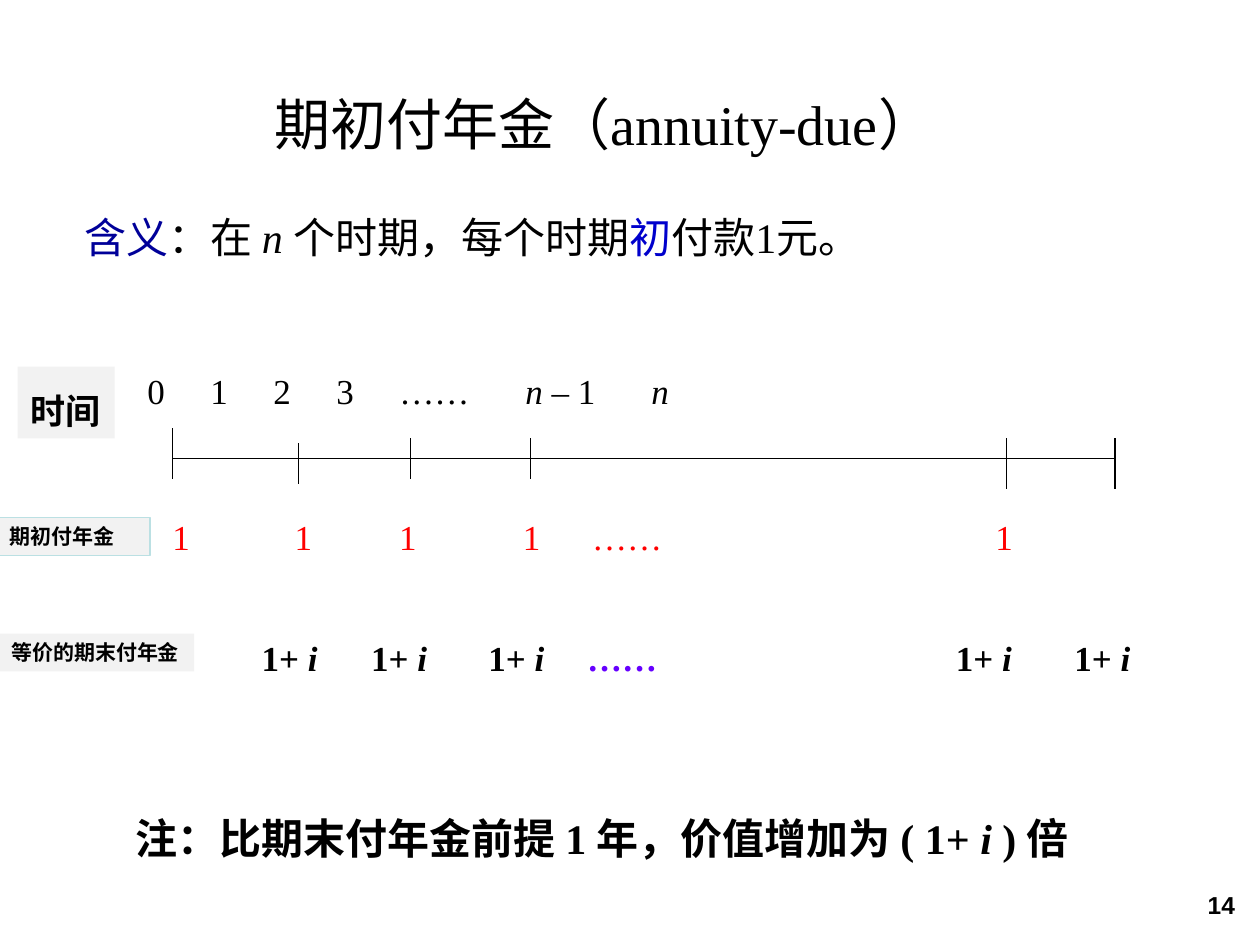
from dataclasses import dataclass

from lxml import etree
from pptx import Presentation
from pptx import util as u
from pptx.dml.color import RGBColor
from pptx.enum import shapes, text
from pptx.oxml import ns

BLACK = RGBColor(0x00, 0x00, 0x00)
RED = RGBColor(0xFF, 0x00, 0x00)
NAVY = RGBColor(0x00, 0x00, 0x99)
BLUE = RGBColor(0x00, 0x00, 0xCC)
VIOLET = RGBColor(0x66, 0x00, 0xFF)
GREY = RGBColor(0xF2, 0xF2, 0xF2)
TEAL = RGBColor(0xBB, 0xE0, 0xE3)
SERIF, SANS, HAN = "Times New Roman", "Arial", "Noto Sans CJK SC"
INSET = 0.1


@dataclass
class Span:
    words: str
    color: RGBColor = BLACK
    italic: bool = False


@dataclass
class Entry:
    center: float
    spans: list[Span]


@dataclass
class Tick:
    x: float
    top: float
    bottom: float


@dataclass
class Label:
    words: str
    left: float
    top: float
    width: float
    height: float
    size: int
    spacing: float
    border: RGBColor | None = None


def add_spans(para, spans: list[Span], size: int, bold: bool = False, font: str = SERIF) -> None:
    for span in spans:
        run = para.add_run()
        run.text = span.words
        run.font.size = u.Pt(size)
        run.font.name = font
        run.font.bold = bold
        run.font.italic = span.italic
        run.font.color.rgb = span.color
        east = etree.SubElement(run.font._element, ns.qn("a:ea"))
        east.set("typeface", HAN)


def add_entries(para, entries: list[Entry], left: float, size: int, bold: bool = False) -> None:
    """Centre each entry of a row on its own tab stop."""
    stops = etree.SubElement(para._p.get_or_add_pPr(), ns.qn("a:tabLst"))
    for entry in entries:
        stop = etree.SubElement(stops, ns.qn("a:tab"))
        stop.set("pos", str(int(u.Inches(entry.center - left - INSET))))
        stop.set("algn", "ctr")
        first, *rest = entry.spans
        add_spans(para, [Span("\t" + first.words, first.color, first.italic), *rest], size, bold)


def add_box(page, left: float, top: float, width: float, height: float):
    box = page.shapes.add_textbox(u.Inches(left), u.Inches(top), u.Inches(width), u.Inches(height))
    box.text_frame.word_wrap = True
    return box.text_frame


def loosen(para, size: int) -> None:
    para.line_spacing = 1.4
    para.space_before = u.Pt(0.2 * size)


def add_line(page, x1: float, y1: float, x2: float, y2: float) -> None:
    line = page.shapes.add_connector(
        shapes.MSO_CONNECTOR.STRAIGHT, u.Inches(x1), u.Inches(y1), u.Inches(x2), u.Inches(y2))
    line.line.color.rgb = BLACK
    line.line.width = u.Pt(0.75)
    etree.SubElement(line._element.spPr, ns.qn("a:effectLst"))


def add_label(page, label: Label) -> None:
    box = page.shapes.add_shape(
        shapes.MSO_SHAPE.RECTANGLE, u.Inches(label.left), u.Inches(label.top),
        u.Inches(label.width), u.Inches(label.height))
    box.shadow.inherit = False
    box.fill.solid()
    box.fill.fore_color.rgb = GREY
    if label.border is None:
        box.line.fill.background()
    else:
        box.line.color.rgb = label.border
        box.line.width = u.Pt(0.75)
    frame = box.text_frame
    frame.word_wrap = label.border is not None
    frame.vertical_anchor = text.MSO_ANCHOR.TOP
    para = frame.paragraphs[0]
    para.alignment = text.PP_ALIGN.LEFT
    if label.spacing > 1:
        loosen(para, label.size)
    add_spans(para, [Span(label.words)], label.size, True, HAN)


def place(holder, left: float, top: float, width: float, height: float):
    holder.left, holder.top = u.Inches(left), u.Inches(top)
    holder.width, holder.height = u.Inches(width), u.Inches(height)
    holder.text_frame.auto_size = text.MSO_AUTO_SIZE.NONE
    return holder.text_frame


def plain(para) -> None:
    """Drop the bullet and its indent."""
    props = para._p.get_or_add_pPr()
    props.set("marL", "0")
    props.set("indent", "0")
    para.line_spacing = 0.9
    etree.SubElement(props, ns.qn("a:buNone"))


TIMES = [
    Entry(1.43, [Span("0")]), Entry(2.4, [Span("1")]), Entry(3.3, [Span("2")]),
    Entry(4.27, [Span("3")]), Entry(5.11, [Span("……")]),
    Entry(8.03, [Span("n ", italic=True), Span("‒ 1")]), Entry(8.87, [Span("n", italic=True)]),
]
PAYMENTS = [Entry(x, [Span(words, RED)]) for x, words in (
    (1.44, "1"), (2.41, "1"), (3.24, "1"), (4.22, "1"), (4.98, "……"), (7.97, "1"))]
GROWTH = [Span("1+ "), Span("i", italic=True)]
EQUIVALENTS = [Entry(x, GROWTH) for x in (2.3, 3.17, 4.1)]
EQUIVALENTS += [Entry(4.94, [Span("……", VIOLET)])]
EQUIVALENTS += [Entry(x, GROWTH) for x in (7.81, 8.75)]
TICKS = [
    Tick(1.37, 3.4, 3.8), Tick(2.37, 3.52, 3.84), Tick(3.26, 3.48, 3.8),
    Tick(4.21, 3.48, 3.8), Tick(7.99, 3.48, 3.88), Tick(8.85, 3.48, 3.88),
]
LABELS = [
    Label("时间", 0.14, 2.91, 0.77, 0.57, 20, 1.4),
    Label("期初付年金", -0.02, 4.11, 1.21, 0.3, 12, 1, TEAL),
    Label("等价的期末付年金", -0.01, 5.03, 1.55, 0.3, 12, 1),
]


def main() -> None:
    deck = Presentation()
    deck.slide_width, deck.slide_height = u.Inches(10), u.Inches(7.5)
    page = deck.slides.add_slide(deck.slide_layouts[1])

    # Title
    title = place(page.shapes.title, 0.72, 0.62, 8.25, 0.71)
    title.vertical_anchor = text.MSO_ANCHOR.MIDDLE
    add_spans(title.paragraphs[0], [Span("期初付年金（annuity-due） ")], 32)

    # Definition and time row
    body_left = 0.57
    body = place(page.placeholders[1], body_left, 1.67, 9.07, 0.85)
    meaning = body.paragraphs[0]
    plain(meaning)
    add_spans(meaning, [
        Span("含义", NAVY), Span("：在 "), Span("n ", italic=True), Span("个时期，每个时期"),
        Span("初", BLUE), Span("付款1元。")], 24)
    times = body.add_paragraph()
    plain(times)
    times.space_before = u.Pt(64)
    add_entries(times, TIMES, body_left, 20)

    # Time axis
    add_line(page, TICKS[0].x, 3.64, TICKS[-1].x, 3.64)
    for tick in TICKS:
        add_line(page, tick.x, tick.top, tick.x, tick.bottom)

    # Payment rows
    for entries, left, top, width, bold in (
            (EQUIVALENTS, 1.86, 4.87, 7.39, True), (PAYMENTS, 1.13, 3.91, 7.93, False)):
        row = add_box(page, left, top, width, 0.57).paragraphs[0]
        loosen(row, 20)
        add_entries(row, entries, left, 20, bold)

    # Note
    note = add_box(page, 0.98, 6.24, 7.73, 0.67).paragraphs[0]
    loosen(note, 24)
    add_spans(note, [Span("注：比期末付年金前提 1 年，价值增加为 ( 1+ "),
                     Span("i", italic=True), Span(" ) 倍")], 24, True)

    # Row labels
    for label in LABELS:
        add_label(page, label)

    # Page number
    number = add_box(page, 7.57, 6.93, 2.33, 0.5)
    number.vertical_anchor = text.MSO_ANCHOR.MIDDLE
    number.paragraphs[0].alignment = text.PP_ALIGN.RIGHT
    add_spans(number.paragraphs[0], [Span("14")], 14, True, SANS)

    deck.save("out.pptx")


if __name__ == "__main__":
    main()
